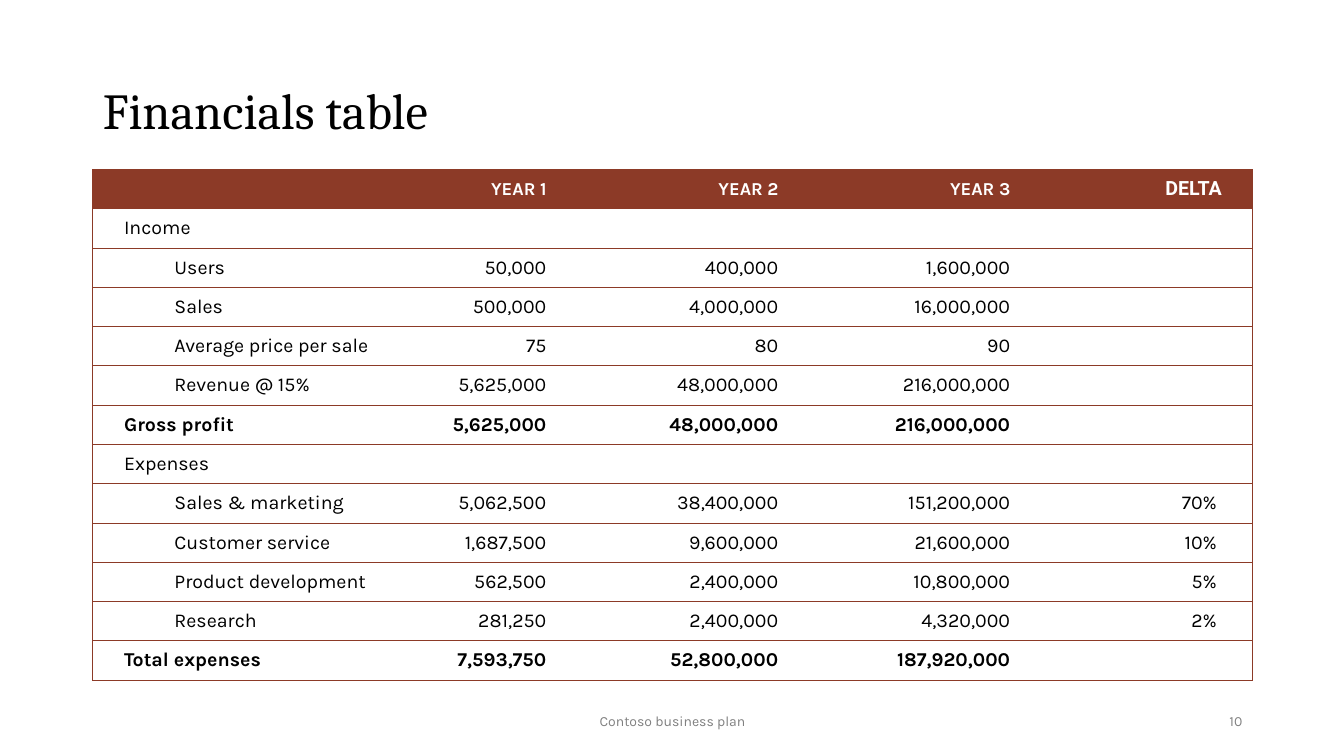
"""Build the financials table slide of a business plan."""
from lxml import etree
from pptx import Presentation
from pptx.dml.color import RGBColor
from pptx.enum.text import MSO_ANCHOR, PP_ALIGN
from pptx.oxml.ns import qn
from pptx.util import Inches, Pt

LEFT, CENTER, RIGHT = PP_ALIGN.LEFT, PP_ALIGN.CENTER, PP_ALIGN.RIGHT
MIDDLE = MSO_ANCHOR.MIDDLE
COLORS = {"rust": "8C3A27", "black": "000000", "white": "FFFFFF", "gray": "808080"}
PLAIN_TABLE_STYLE = "{2D5ABB26-0587-4C30-8999-92F81FD0307C}"

HEADER = ["", "YEAR 1", "YEAR 2", "YEAR 3", "DELTA"]
ROWS = [
    ["Income", "", "", "", ""],
    ["Users", "50,000", "400,000", "1,600,000", ""],
    ["Sales", "500,000", "4,000,000", "16,000,000", ""],
    ["Average price per sale", "75", "80", "90", ""],
    ["Revenue @ 15%", "5,625,000", "48,000,000", "216,000,000", ""],
    ["Gross profit", "5,625,000", "48,000,000", "216,000,000", ""],
    ["Expenses", "", "", "", ""],
    ["Sales & marketing", "5,062,500", "38,400,000", "151,200,000", "70%"],
    ["Customer service", "1,687,500", "9,600,000", "21,600,000", "10%"],
    ["Product development", "562,500", "2,400,000", "10,800,000", "5%"],
    ["Research", "281,250", "2,400,000", "4,320,000", "2%"],
    ["Total expenses", "7,593,750", "52,800,000", "187,920,000", ""],
]
SECTIONS = ["Income", "Expenses"]
TOTALS = ["Gross profit", "Total expenses"]
COLUMN_WIDTHS = [2.99, 1.61, 2.3, 2.3, 2.3]


def write_text(text_frame, text, size, font_name, color, align, bold=False):
    text_frame.text = text
    paragraph = text_frame.paragraphs[0]
    paragraph.alignment = align
    for run in paragraph.runs:
        run.font.size = Pt(size)
        run.font.name = font_name
        run.font.bold = bold
        run.font.color.rgb = RGBColor.from_string(COLORS[color])
    return paragraph


def add_border(cell, side):
    line = etree.SubElement(cell._tc.get_or_add_tcPr(), qn(f"a:ln{side}"), w=str(Pt(0.5)))
    fill = etree.SubElement(line, qn("a:solidFill"))
    etree.SubElement(fill, qn("a:srgbClr"), val=COLORS["rust"])


presentation = Presentation()
presentation.slide_width = Inches(13.33)
presentation.slide_height = Inches(7.5)
slide = presentation.slides.add_slide(presentation.slide_layouts[5])

title = slide.shapes.title
title.left, title.top, title.width, title.height = map(Inches, (0.92, 0.77, 11.5, 0.7))
title.text_frame.vertical_anchor = MIDDLE
title_paragraph = write_text(title.text_frame, "Financials table", 36, "Cambria", "black", LEFT)
title_paragraph.line_spacing = 0.9

table_rows = [HEADER] + ROWS
table = slide.shapes.add_table(
    len(table_rows), len(HEADER), Inches(0.92), Inches(1.68), Inches(11.5), Inches(5.07)
).table
table.horz_banding = False
table._tbl.tblPr.find(qn("a:tableStyleId")).text = PLAIN_TABLE_STYLE
for column, width in zip(table.columns, COLUMN_WIDTHS):
    column.width = Inches(width)

last_column = len(HEADER) - 1
for row_index, values in enumerate(table_rows):
    is_header = row_index == 0
    label = values[0]
    for column_index, value in enumerate(values):
        cell = table.cell(row_index, column_index)
        cell.vertical_anchor = MIDDLE
        cell.margin_top = cell.margin_bottom = Inches(0.02)
        is_delta = column_index == last_column
        if column_index == 0:
            cell.margin_left = Inches(0.31)
            add_border(cell, "L")
        if is_delta:
            cell.margin_right = Inches(0.3 if is_header else 0.35)
            add_border(cell, "R")
        add_border(cell, "T")
        add_border(cell, "B")
        if is_header:
            cell.fill.solid()
            cell.fill.fore_color.rgb = RGBColor.from_string(COLORS["rust"])
        else:
            cell.fill.background()

        paragraph = write_text(
            cell.text_frame,
            value,
            13 if is_header and not is_delta else 14,
            "Roboto" if is_header and is_delta else "Karla",
            "white" if is_header else "black",
            LEFT if column_index == 0 else RIGHT,
            is_header or label in TOTALS,
        )
        if column_index == 0 and not is_header and label not in SECTIONS + TOTALS:
            paragraph.level = 1
            properties = paragraph._p.get_or_add_pPr()
            properties.set("marL", str(Inches(0.5)))
            properties.set("indent", "0")

for text, left, width, align in [
    ("Contoso business plan", 4.42, 4.5, CENTER),
    ("10", 9.42, 3, RIGHT),
]:
    footer = slide.shapes.add_textbox(Inches(left), Inches(6.95), Inches(width), Inches(0.4))
    footer.text_frame.word_wrap = True
    footer.text_frame.vertical_anchor = MIDDLE
    write_text(footer.text_frame, text, 10, "Karla", "gray", align)

presentation.save("out.pptx")
